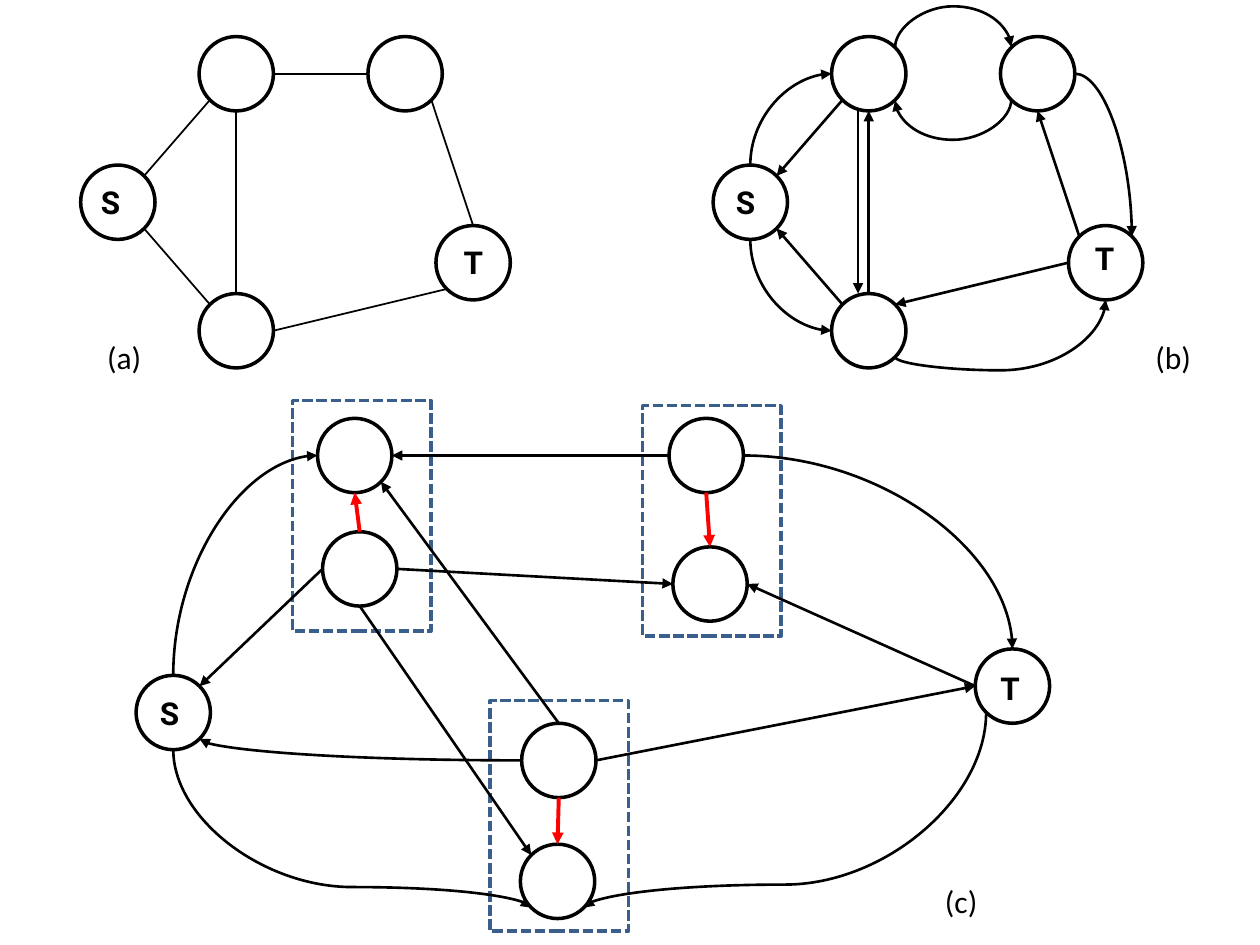
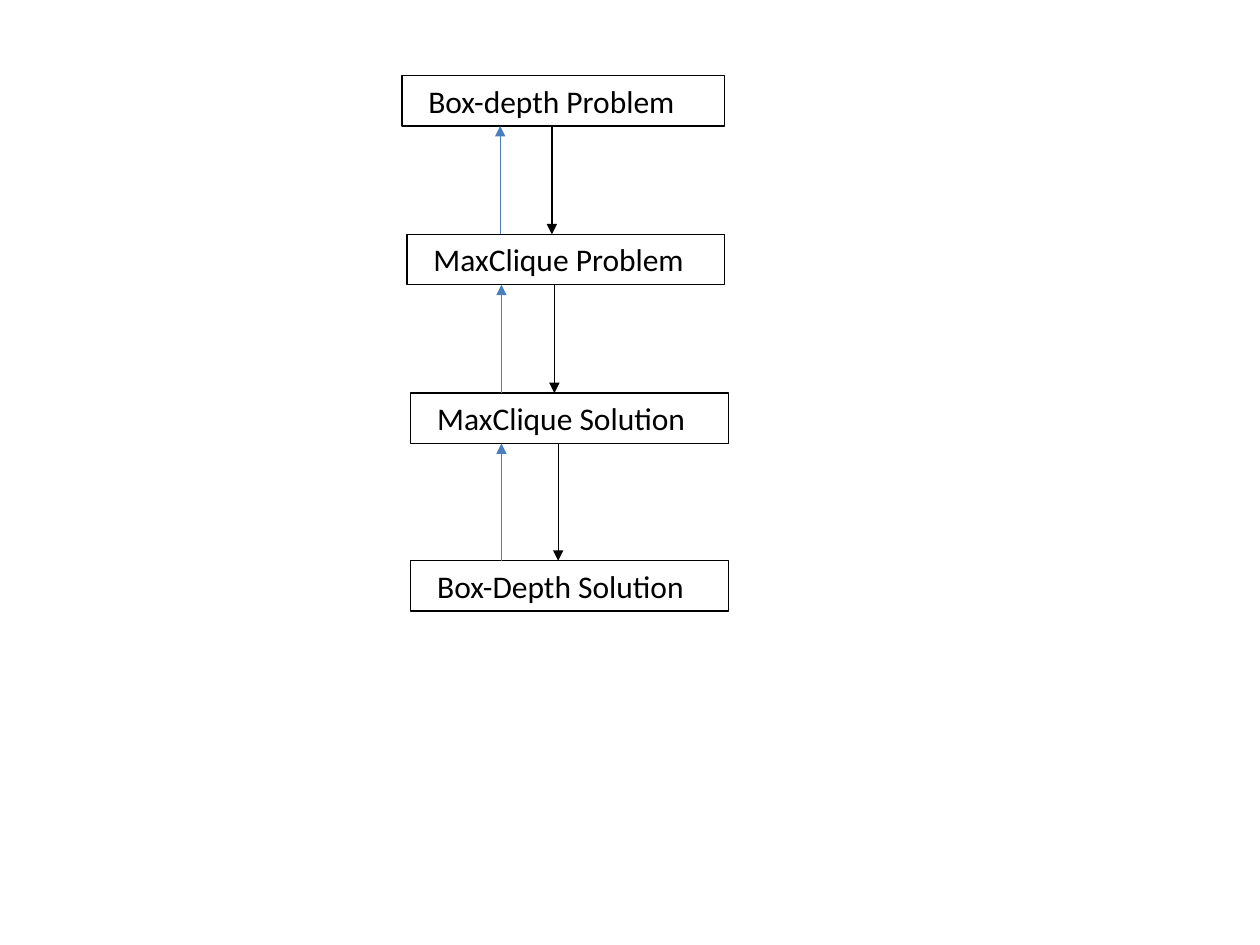
from math import copysign, cos, radians, sin

from lxml.etree import SubElement
from pptx import Presentation
from pptx.dml.color import RGBColor
from pptx.enum.dml import MSO_LINE
from pptx.enum.shapes import MSO_CONNECTOR, MSO_SHAPE
from pptx.enum.text import MSO_ANCHOR, MSO_AUTO_SIZE, PP_ALIGN
from pptx.oxml.ns import qn
from pptx.util import Inches, Pt

COLORS = {"ink": "000000", "paper": "FFFFFF", "group": "3A5F8C",
          "split": "FF0000", "back": "4B7EBC"}
COLUMNS, ROWS = 10, 7.5
NODE = 0.59
# Connection sites of an ellipse, counterclockwise from the top
(TOP, TOP_LEFT, LEFT, BOTTOM_LEFT,
 BOTTOM, BOTTOM_RIGHT, RIGHT, TOP_RIGHT) = range(8)


class Diagram:
    """Style and current slide; lengths are grid columns and rows."""

    def __init__(self, presentation):
        self.presentation = presentation
        self.column = presentation.slide_width / COLUMNS
        self.row = presentation.slide_height / ROWS
        self.slide = None

    def new_slide(self):
        self.slide = self.presentation.slides.add_slide(
            self.presentation.slide_layouts[6])

    def grid(self, *lengths):
        """Turn alternating columns and rows into slide units."""
        units = (self.column, self.row)
        return [round(length * units[i % 2]) for i, length in enumerate(lengths)]

    def outline(self, item, color, width):
        item.line.color.rgb = RGBColor.from_string(COLORS[color])
        item.line.width = Pt(width)

    def shape(self, kind, box, color="ink", width=2.0, fill=None):
        shape = self.slide.shapes.add_shape(kind, *self.grid(*box))
        shape.shadow.inherit = False
        if fill:
            shape.fill.solid()
            shape.fill.fore_color.rgb = RGBColor.from_string(COLORS[fill])
        else:
            shape.fill.background()
        self.outline(shape, color, width)
        return shape

    def node(self, left, top):
        shape = self.shape(MSO_SHAPE.OVAL, (left, top, NODE, NODE), fill="paper")
        return shape, left + NODE / 2, top + NODE / 2

    def group(self, left, top):
        shape = self.shape(MSO_SHAPE.RECTANGLE, (left, top, 1.1, 1.83), "group")
        shape.line.dash_style = MSO_LINE.SQUARE_DOT

    def add_text(self, shape, text, font="Calibri", bold=False):
        frame = shape.text_frame
        frame.word_wrap = True
        frame.auto_size = MSO_AUTO_SIZE.SHAPE_TO_FIT_TEXT
        frame.vertical_anchor = MSO_ANCHOR.TOP
        frame.margin_left = Inches(0.21)
        paragraph = frame.paragraphs[0]
        paragraph.alignment = PP_ALIGN.LEFT
        run = paragraph.add_run()
        run.text = text
        run.font.name, run.font.size, run.font.bold = font, Pt(18), bold
        run.font.color.rgb = RGBColor.from_string(COLORS["ink"])

    def label(self, text, left, top, width=0.74, height=0.4, **style):
        box = self.slide.shapes.add_textbox(*self.grid(left, top, width, height))
        self.add_text(box, text, **style)

    def node_label(self, text, left, top):
        self.label(text, left, top, NODE, 0.42, font="Roboto", bold=True)

    def finish(self, connector, color, width, arrow):
        self.outline(connector, color, width)
        properties = connector.element.spPr
        if arrow:
            SubElement(properties.find(qn("a:ln")), qn("a:tailEnd"), type="triangle")
        SubElement(properties, qn("a:effectLst"))

    def line(self, start, end, color="ink", width=1.5, arrow=True):
        connector = self.slide.shapes.add_connector(
            MSO_CONNECTOR.STRAIGHT, *self.grid(*start, *end))
        self.finish(connector, color, width, arrow)
        return connector

    def curve(self, start, end, upright=True, via=None):
        """Curve that leaves upright or level; via is the row it swings to."""
        (x1, y1), (x2, y2) = start, end
        across, down = x2 - x1, y2 - y1
        if via is not None and abs(down) < 0.01:
            down = copysign(0.01, via - y1)
        width, height = abs(across), abs(down)
        if upright:
            width, height = height, width
        left, top = (x1 + x2 - width) / 2, (y1 + y2 - height) / 2
        connector = self.slide.shapes.add_connector(
            MSO_CONNECTOR.CURVE, *self.grid(left, top, left + width, top + height))
        properties = connector.element.spPr
        transform = properties.find(qn("a:xfrm"))
        geometry = properties.find(qn("a:prstGeom"))
        # A quarter turn swaps the axes the flips act on
        flips = (down < 0, across > 0) if upright else (across < 0, down < 0)
        if upright:
            transform.set("rot", str(90 * 60000))
        for name, flipped in zip(("flipH", "flipV"), flips):
            if flipped:
                transform.set(name, "1")
        if via is None:
            geometry.set("prst", "curvedConnector2")
        else:
            bend = round((via - y1) / down * 100000)
            SubElement(geometry.find(qn("a:avLst")), qn("a:gd"),
                       name="adj1", fmla=f"val {bend}")
        self.finish(connector, "ink", 1.5, True)
        return connector

    def edge(self, source, site, target, target_site, curved=False,
             upright=True, via=None, **style):
        """Join two nodes at connection sites."""
        ends = [(source, site), (target, target_site)]
        points = [(x - NODE / 2 * sin(radians(45 * place)),
                   y - NODE / 2 * cos(radians(45 * place)))
                  for (_, x, y), place in ends]
        if curved:
            connector = self.curve(*points, upright, via)
        else:
            connector = self.line(*points, **style)
        joints = next(connector.element.iter(qn("p:cNvCxnSpPr")))
        for tag, (node, place) in zip(("a:stCxn", "a:endCxn"), ends):
            SubElement(joints, qn(tag), id=str(node[0].shape_id), idx=str(place))


presentation = Presentation()
presentation.slide_width, presentation.slide_height = Inches(COLUMNS), Inches(ROWS)
diagram = Diagram(presentation)
edge = diagram.edge


def five_nodes(shift):
    """Nodes S, upper, lower, right and T of graphs (a) and (b)."""
    places = [(0.64, 1.31), (1.58, 0.29), (1.58, 2.33), (2.92, 0.29), (3.46, 1.79)]
    return [diagram.node(left + shift, top) for left, top in places]


# Slide 1, graph (a): undirected
diagram.new_slide()
s, upper, lower, right, t = five_nodes(0)
for ends in [(s, TOP_RIGHT, upper, BOTTOM_LEFT),
             (s, BOTTOM_RIGHT, lower, TOP_LEFT),
             (upper, RIGHT, right, LEFT),
             (upper, BOTTOM, lower, TOP),
             (lower, RIGHT, t, BOTTOM_LEFT),
             (right, BOTTOM_RIGHT, t, TOP)]:
    edge(*ends, width=1, arrow=False)

# Graph (b): each edge in both directions
s, upper, lower, right, t = five_nodes(5.02)
edge(s, TOP, upper, LEFT, curved=True)
edge(upper, TOP_RIGHT, right, TOP_LEFT, curved=True, via=0.04)
edge(right, BOTTOM_LEFT, upper, BOTTOM_RIGHT, curved=True, via=1.12)
edge(s, BOTTOM, lower, LEFT, curved=True)
edge(upper, BOTTOM_LEFT, s, TOP_RIGHT)
edge(lower, TOP_LEFT, s, BOTTOM_RIGHT)
diagram.line((6.81, 0.88), (6.81, 2.33))
edge(lower, TOP, upper, BOTTOM)
edge(right, RIGHT, t, TOP_RIGHT, curved=True, upright=False)
edge(t, TOP_LEFT, right, BOTTOM)
edge(lower, BOTTOM_RIGHT, t, BOTTOM, curved=True, via=2.94)
edge(t, LEFT, lower, TOP_RIGHT)

# Graph (c): inner nodes split in two
s, upper_in, upper_out, right_out, right_in, lower_out, lower_in, t = [
    diagram.node(left, top) for left, top in [
        (1.08, 5.36), (2.52, 3.32), (2.56, 4.22), (5.31, 3.32),
        (5.34, 4.34), (4.14, 5.74), (4.13, 6.7), (7.74, 5.15)]]
for corner in [(2.32, 3.18), (3.89, 5.56), (5.1, 3.22)]:
    diagram.group(*corner)
edge(s, TOP, upper_in, LEFT, curved=True)
edge(upper_out, LEFT, s, TOP_RIGHT)
edge(lower_out, LEFT, s, BOTTOM_RIGHT, curved=True, upright=False)
edge(s, BOTTOM, lower_in, BOTTOM_LEFT, curved=True, via=7.04)
edge(t, LEFT, right_in, RIGHT)
edge(right_out, RIGHT, t, TOP, curved=True, upright=False)
edge(lower_out, RIGHT, t, LEFT)
edge(t, BOTTOM_LEFT, lower_in, BOTTOM_RIGHT, curved=True, via=7.02)
edge(upper_out, RIGHT, right_in, LEFT)
edge(right_out, LEFT, upper_in, RIGHT)
edge(lower_out, TOP, upper_in, BOTTOM_RIGHT)
edge(upper_out, BOTTOM, lower_in, TOP_LEFT)
for ends in [(upper_out, TOP, upper_in, BOTTOM),
             (lower_out, BOTTOM, lower_in, TOP),
             (right_out, BOTTOM, right_in, TOP)]:
    edge(*ends, color="split", width=2.25)

# Labels
for text, left, top in [("(a)", 0.64, 2.63), ("(b)", 8.96, 2.63), ("(c)", 7.29, 6.95)]:
    diagram.label(text, left, top)
for text, left, top in [("S", 0.59, 1.4), ("S", 5.63, 1.4), ("S", 1.06, 5.46),
                        ("T", 3.47, 1.88), ("T", 8.48, 1.85), ("T", 7.73, 5.26)]:
    diagram.node_label(text, left, top)

# Slide 2: chain of steps
diagram.new_slide()
step_height = 0.4
steps = [("Box-depth Problem", 3.19, 0.6, 2.56),
         ("MaxClique Problem", 3.23, 1.86, 2.52),
         ("MaxClique Solution", 3.26, 3.12, 2.52),
         ("Box-Depth Solution", 3.26, 4.45, 2.52)]
for text, left, top, width in steps:
    step = diagram.shape(MSO_SHAPE.RECTANGLE, (left, top, width, step_height), width=0.75)
    diagram.add_text(step, text)

# Arrows down and back up between neighbouring steps
gaps = [(above[2] + step_height, below[2]) for above, below in zip(steps, steps[1:])]
for (top, bottom), forward, back in zip(gaps, (4.38, 4.4, 4.43), (3.97, 3.98, 3.98)):
    diagram.line((forward, top), (forward, bottom), width=0.75)
    diagram.line((back, bottom), (back, top), "back", 0.75)

presentation.save("out.pptx")
